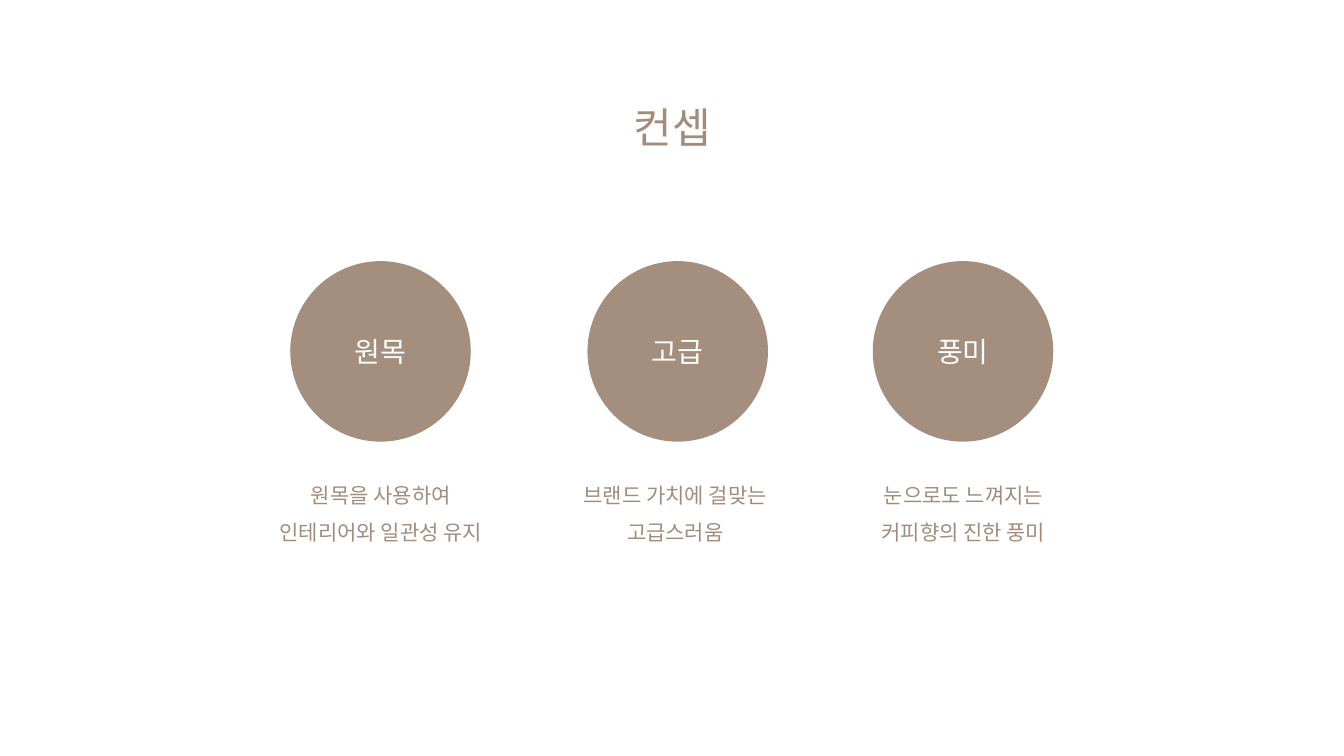
from dataclasses import dataclass

from lxml.etree import SubElement
from pptx import Presentation
from pptx.dml.color import RGBColor
from pptx.enum.shapes import MSO_SHAPE as Shape
from pptx.enum.text import MSO_ANCHOR as Anchor, MSO_AUTO_SIZE as AutoSize, PP_ALIGN as Align
from pptx.oxml.ns import qn
from pptx.slide import Slide
from pptx.text.text import TextFrame
from pptx.util import Cm, Pt

FONT = "Noto Sans CJK KR"
COLORS = {"text": "A28C7B", "circle": "A48E7E", "label": "FFFFFF"}
CIRCLE_TOP, CIRCLE_SIZE = 6.58, 4.55
CAPTION_TOP, CAPTION_WIDTH, CAPTION_HEIGHT = 11.71, 7.77, 2.18


@dataclass(frozen=True)
class Concept:
    label: str
    caption: tuple[str, ...]
    circle_center: float
    caption_center: float


CONCEPTS = (
    Concept("원목", ("원목을 사용하여", "인테리어와 일관성 유지"), 9.59, 9.6),
    Concept("고급", ("브랜드 가치에 걸맞는", "고급스러움"), 17.08, 17.02),
    Concept("풍미", ("눈으로도 느껴지는", "커피향의 진한 풍미"), 24.27, 24.28),
)


def write_lines(frame: TextFrame, lines: tuple[str, ...], size: float,
                color: str, spacing: float = 1.0) -> None:
    frame.word_wrap = True
    for index, line in enumerate(lines):
        para = frame.add_paragraph() if index else frame.paragraphs[0]
        para.alignment = Align.CENTER
        para.line_spacing = spacing
        span = para.add_run()
        span.text = line
        span.font.size = Pt(size)
        span.font.color.rgb = RGBColor.from_string(COLORS[color])
        span.font.name = FONT
        SubElement(span.font._element, qn("a:ea"), typeface=FONT)


def add_text(page: Slide, center: float, top: float, width: float, height: float,
             lines: tuple[str, ...], size: float, spacing: float = 1.0) -> None:
    box = page.shapes.add_textbox(Cm(center - width / 2), Cm(top), Cm(width), Cm(height))
    write_lines(box.text_frame, lines, size, "text", spacing)
    box.text_frame.auto_size = AutoSize.SHAPE_TO_FIT_TEXT


def add_circle(page: Slide, concept: Concept) -> None:
    circle = page.shapes.add_shape(
        Shape.OVAL, Cm(concept.circle_center - CIRCLE_SIZE / 2), Cm(CIRCLE_TOP),
        Cm(CIRCLE_SIZE), Cm(CIRCLE_SIZE))
    circle.shadow.inherit = False
    circle.fill.solid()
    circle.fill.fore_color.rgb = RGBColor.from_string(COLORS["circle"])
    circle.line.fill.background()
    circle.text_frame.vertical_anchor = Anchor.MIDDLE
    write_lines(circle.text_frame, (concept.label,), 20, "label")


def main() -> None:
    deck = Presentation()
    deck.slide_width, deck.slide_height = Cm(33.87), Cm(19.05)
    page = deck.slides.add_slide(deck.slide_layouts[6])
    add_text(page, 16.94, 2.44, 17.02, 1.55, ("컨셉",), 30)
    for concept in CONCEPTS:
        add_circle(page, concept)
        add_text(page, concept.caption_center, CAPTION_TOP, CAPTION_WIDTH,
                 CAPTION_HEIGHT, concept.caption, 15, 1.5)
    deck.save("out.pptx")


if __name__ == "__main__":
    main()
